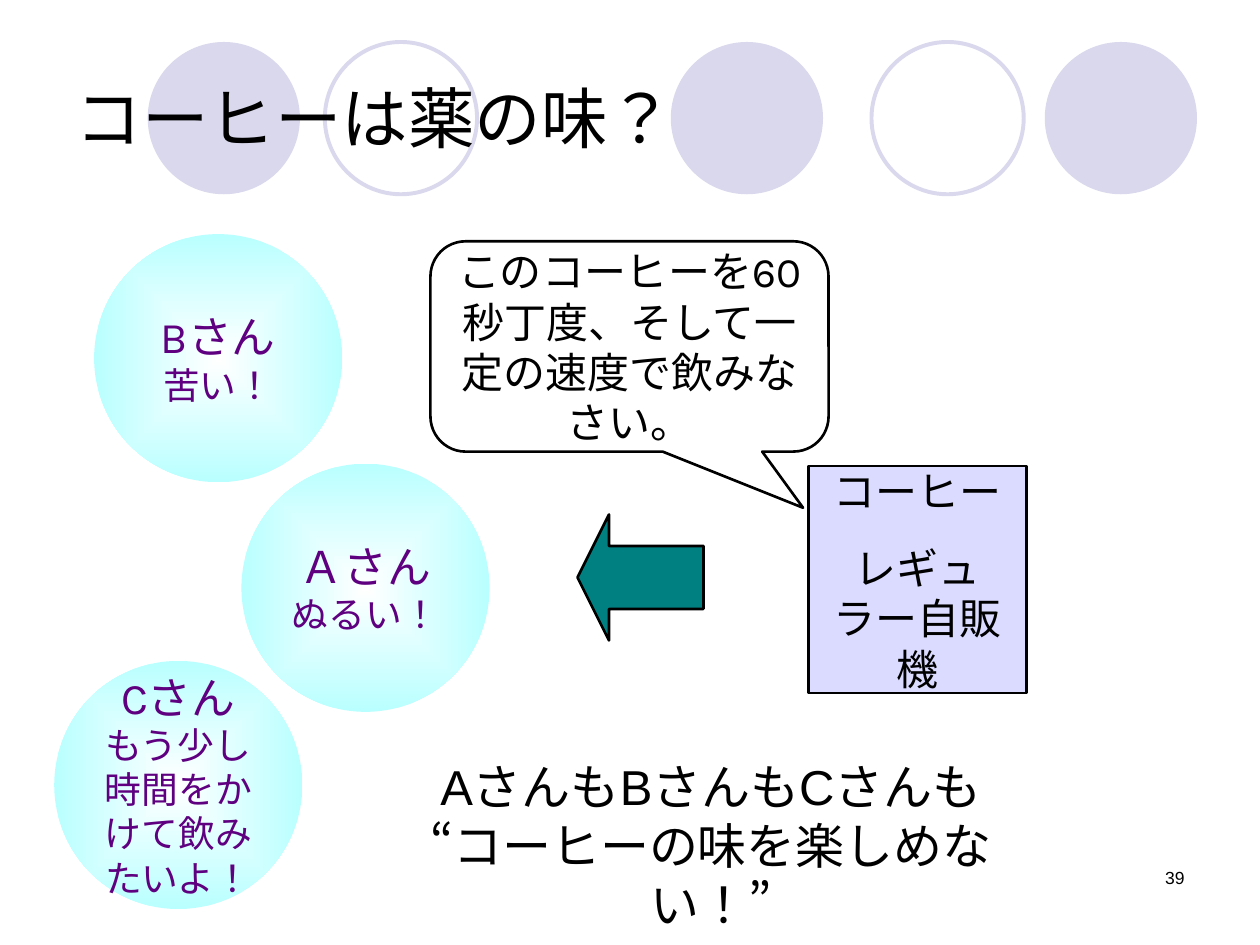
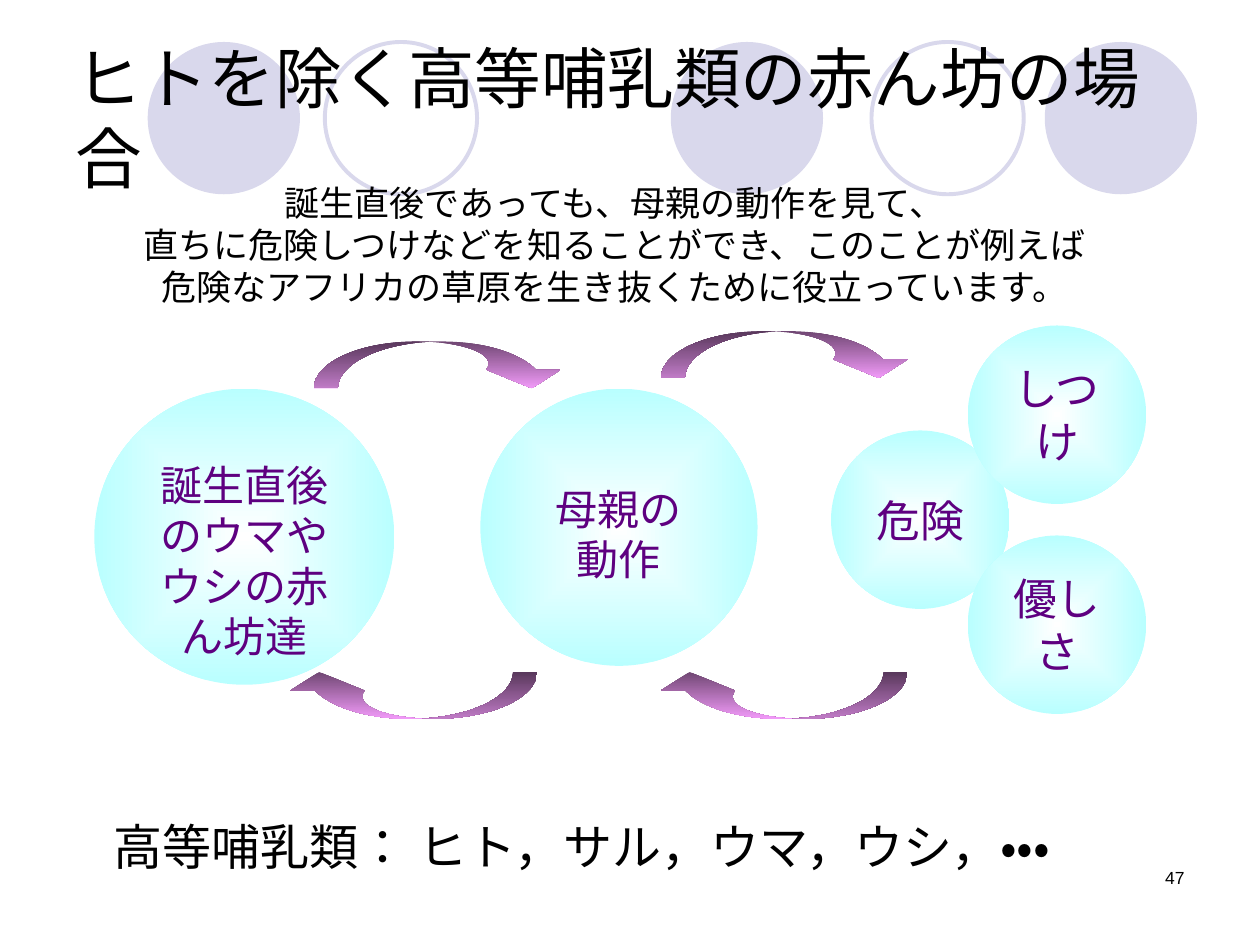
from copy import deepcopy
from math import acos, asin, cos, degrees, radians, sin, tan

from lxml.etree import SubElement
from pptx import Presentation
from pptx.dml.color import RGBColor
from pptx.enum.lang import MSO_LANGUAGE_ID as Lang
from pptx.enum.shapes import MSO_SHAPE as Shape
from pptx.enum.text import MSO_ANCHOR as Anchor, MSO_AUTO_SIZE as AutoSize, PP_ALIGN as Align
from pptx.oxml.ns import qn
from pptx.util import Pt

# Shared look
BLACK = RGBColor(0x00, 0x00, 0x00)
WHITE = RGBColor(0xFF, 0xFF, 0xFF)
LILAC = RGBColor(0xD9, 0xD8, 0xEC)
PURPLE = RGBColor(0x5E, 0x00, 0x80)
AQUA = RGBColor(0xB9, 0xFF, 0xFF)
TEAL = RGBColor(0x00, 0x80, 0x80)
LAVENDER = RGBColor(0xCC, 0xCC, 0xFF)
PLUM = RGBColor(0x70, 0x47, 0x73)
PINK = RGBColor(0xF1, 0x9A, 0xF8)
ARIAL, KARLA, SCHOLA = "Arial", "Karla", "TeX Gyre Schola"
TITLE_BOX = (36, 21.6, 648, 90)
NUMBER_BOX = (516, 492, 168, 36)
BAND_TOP, BAND_SIZE = 24, 87
BAND = [(84.4, True), (185.6, False), (383.3, True), (498, False), (597, True)]  # left, filled
INSETS = (7.2, 3.6, 7.2, 3.6)

# Slide 1: coffee
COFFEE_TITLE, COFFEE_NUMBER = "コーヒーは薬の味？", 39
PERSON_SIZE = 141.8
PEOPLE = [
    (138, 265, "Ａさん", "ぬるい！"),
    (53.8, 133.8, "Bさん", "苦い！"),
    (31, 377.7, "Cさん", "もう少し時間をかけて飲みたいよ！"),
]
MACHINE = ["コーヒー", "レギュラー自販機"]
ORDER = ["このコーヒーを60秒丁度、そして一定の速度で飲みなさい。"]
VERDICT = ["AさんもBさんもCさんも", "“コーヒーの味を楽しめない！”"]

# Slide 2: newborn mammals
BABY_TITLE, BABY_NUMBER = "ヒトを除く高等哺乳類の赤ん坊の場合", 47
EXPLANATION = [
    "誕生直後であっても、母親の動作を見て、",
    "直ちに危険しつけなどを知ることができ、このことが例えば",
    "危険なアフリカの草原を生き抜くために役立っています。",
]
MAMMALS = ["高等哺乳類： ヒト，サル，ウマ，ウシ，・・・"]
BIG_INSETS, SMALL_INSETS = (7.2, 31, 7.2, 4.3), (0, 5.8, 0, 5.8)
BIG_ORBS = [
    ((53.9, 222.1, 171.4, 169.2), ["誕生直後のウマやウシの赤ん坊達"], Anchor.MIDDLE),
    ((274.5, 222.1, 158.4, 158.4), ["母親の", "動作"], Anchor.TOP),
]
LESSON_SIZE = 102
LESSONS = [(474.9, 246, "危険"), (553, 186, "しつけ"), (553, 306, "優しさ")]
ARROWS = [  # left, top, turned back
    (179.4, 195.1, False), (377.7, 189.2, False),
    (161.5, 384, True), (373.2, 384, True),
]
ARROW_W, ARROW_H = 145.4, 26.8
ARC_RX, ARC_LEFT, ARC_RIGHT = 59, 59, 72.7  # radius and the two arc centres
HEAD_Y = 16.2
HEAD = [(141, HEAD_Y), (124.5, ARROW_H), (98.6, HEAD_Y)]


def set_text(sp, lines, sizes, font, color=BLACK, align=Align.CENTER, gap=0,
             insets=INSETS, anchor=Anchor.MIDDLE, wrap=True):
    tf = sp.text_frame
    tf.text = "\n".join(lines)
    tf.word_wrap, tf.auto_size, tf.vertical_anchor = wrap, AutoSize.NONE, anchor
    tf.margin_left, tf.margin_top, tf.margin_right, tf.margin_bottom = map(Pt, insets)
    for i, p in enumerate(tf.paragraphs):
        p.alignment = align
        p.space_before = Pt(gap if i else 0)
        for r in p.runs:
            r.font.size, r.font.name = Pt(sizes[min(i, len(sizes) - 1)]), font
            r.font.color.rgb = color
            r.font.language_id = Lang.JAPANESE


def add_text(slide, box, lines, size, **style):
    sp = slide.shapes.add_textbox(*map(Pt, box))
    set_text(sp, lines, [size], ARIAL, anchor=Anchor.TOP, **style)


def add_shape(slide, kind, box, fill=None, line=None, width=1.5):
    sp = slide.shapes.add_shape(kind, *map(Pt, box))
    sp.shadow.inherit = False
    if fill is None:
        sp.fill.background()
    else:
        sp.fill.solid()
        sp.fill.fore_color.rgb = fill
    if line is None:
        sp.line.fill.background()
    else:
        sp.line.color.rgb, sp.line.width = line, Pt(width)
    return sp


def set_gradient(sp, start, end):
    sp.fill.gradient()
    for stop, color in zip(sp.fill.gradient_stops, (start, end)):
        stop.color.rgb = color


def add_orb(slide, box, lines, sizes, font, **style):
    sp = add_shape(slide, Shape.OVAL, box)
    set_gradient(sp, WHITE, AQUA)
    # The gradient spreads from the centre
    grad = sp.element.spPr.find(qn("a:gradFill"))
    grad.remove(grad.find(qn("a:lin")))
    centre = SubElement(grad, qn("a:path"), {"path": "rect"})
    SubElement(centre, qn("a:fillToRect"), dict.fromkeys("ltrb", "50000"))
    set_text(sp, lines, sizes, font, PURPLE, **style)


def arc(centre, start, end):
    """Two control points and the end point of an elliptic arc."""
    a, b = radians(start), radians(end)
    k = 4 / 3 * tan((b - a) / 4)
    unit = [(cos(a) - k * sin(a), sin(a) + k * cos(a)),
            (cos(b) + k * sin(b), sin(b) - k * cos(b)), (cos(b), sin(b))]
    return [(centre + ARC_RX * x, ARROW_H * (1 - y)) for x, y in unit]


def arrow_contours():
    """Whole arrow and its shaded tail; three points make a curve, one a line."""
    neck = degrees(asin(1 - HEAD_Y / ARROW_H))
    cross = degrees(acos((ARC_RIGHT - ARC_LEFT) / 2 / ARC_RX))
    start, outer = [(0, ARROW_H)], arc(ARC_LEFT, 180, 90)
    inner, tail = arc(ARC_LEFT, neck, cross), arc(ARC_RIGHT, 180 - cross, 180)
    whole = [start, outer, [(ARC_RIGHT, 0)], arc(ARC_RIGHT, 90, neck),
             *([point] for point in HEAD), inner, tail]
    return whole, [start, outer, inner[-1:], tail]


def bend(outline, segments):
    """Merge each three line steps of a curved segment into one curve."""
    steps = iter(list(outline))
    for segment in segments:
        first, *others = [next(steps) for _ in segment]
        if others:
            first.tag = qn("a:cubicBezTo")
            for step in others:
                first.append(step[0])
                outline.remove(step)


def add_curved_arrow(slide, left, top, back):
    def place(x, y):
        if back:
            x, y = ARROW_W - x, ARROW_H - y
        return Pt(left + x), Pt(top + y)

    whole, tail = arrow_contours()
    points, tail_points = ([place(*pt) for seg in contour for pt in seg]
                           for contour in (whole, tail))
    builder = slide.shapes.build_freeform(*points[0], scale=1.0)
    builder.add_line_segments(points[1:], close=True)
    builder.move_to(*tail_points[0])
    builder.add_line_segments(tail_points[1:], close=True)
    sp = builder.convert_to_shape()

    # The tail becomes a darker outline of its own
    outline = next(sp.element.iter(qn("a:path")))
    shade = deepcopy(outline)
    shade.set("fill", "darkenLess")
    outline.addnext(shade)
    split = len(points) + 1
    for step in list(outline)[split:]:
        outline.remove(step)
    for step in list(shade)[:split]:
        shade.remove(step)
    bend(outline, whole)
    bend(shade, tail)

    sp.shadow.inherit = False
    sp.line.fill.background()
    set_gradient(sp, PLUM, PINK)
    sp.fill.gradient_angle = 270


def add_band(slide, layout):
    # Circles go to the layout, behind every title
    for left, filled in BAND:
        sp = add_shape(slide, Shape.OVAL, (left, BAND_TOP, BAND_SIZE, BAND_SIZE),
                       LILAC if filled else None, None if filled else LILAC, 2.25)
        layout.shapes.element.insert(2, sp.element)


def add_slide(prs, title, number):
    slide = prs.slides.add_slide(prs.slide_layouts[5])
    sp = slide.shapes.title
    sp.left, sp.top, sp.width, sp.height = map(Pt, TITLE_BOX)
    set_text(sp, [title], [38], ARIAL, align=Align.LEFT)
    add_text(slide, NUMBER_BOX, [str(number)], 10, align=Align.RIGHT)
    return slide


def build_coffee(prs):
    slide = add_slide(prs, COFFEE_TITLE, COFFEE_NUMBER)
    add_band(slide, prs.slide_layouts[5])

    # Vending machine, its arrow and its order
    sp = add_shape(slide, Shape.RECTANGLE, (462, 266.4, 124.6, 129.6), LAVENDER, BLACK)
    color = sp.element.spPr.find(qn("a:solidFill")).find(qn("a:srgbClr"))
    SubElement(color, qn("a:alpha"), val="70000")
    set_text(sp, MACHINE, [24], KARLA, gap=15)
    sp = add_shape(slide, Shape.LEFT_ARROW, (330, 294, 72, 72), TEAL, BLACK)
    sp.adjustments[0], sp.adjustments[1] = 0.5, 0.25
    sp = add_shape(slide, Shape.ROUNDED_RECTANGULAR_CALLOUT,
                   (246, 137.9, 227.5, 120.2), line=BLACK)
    for i, value in enumerate((0.436, 0.767, 0.167)):
        sp.adjustments[i] = value
    set_text(sp, ORDER, [24], KARLA)

    # Drinkers
    for left, top, *lines in PEOPLE:
        add_orb(slide, (left, top, PERSON_SIZE, PERSON_SIZE), lines, [25, 21], KARLA,
                insets=(7.2, 4.3, 7.2, 4.3))
    add_text(slide, (205.7, 428.7, 401, 75), VERDICT, 28)


def build_baby(prs):
    slide = add_slide(prs, BABY_TITLE, BABY_NUMBER)

    # Newborn, mother and lessons
    for box, lines, anchor in BIG_ORBS:
        add_orb(slide, box, lines, [24], SCHOLA, insets=BIG_INSETS, anchor=anchor)
    for left, top, word in LESSONS:
        add_orb(slide, (left, top, LESSON_SIZE, LESSON_SIZE), [word], [25], SCHOLA,
                insets=SMALL_INSETS)
    for arrow in ARROWS:
        add_curved_arrow(slide, *arrow)

    # Explanation and examples
    add_text(slide, (58, 463, 608, 41), MAMMALS, 28, align=Align.LEFT)
    add_text(slide, (73.7, 100, 555, 79), EXPLANATION, 20, wrap=False)


def main():
    prs = Presentation()
    prs.slide_width, prs.slide_height = Pt(720), Pt(540)
    build_coffee(prs)
    build_baby(prs)
    prs.save("out.pptx")


if __name__ == "__main__":
    main()
